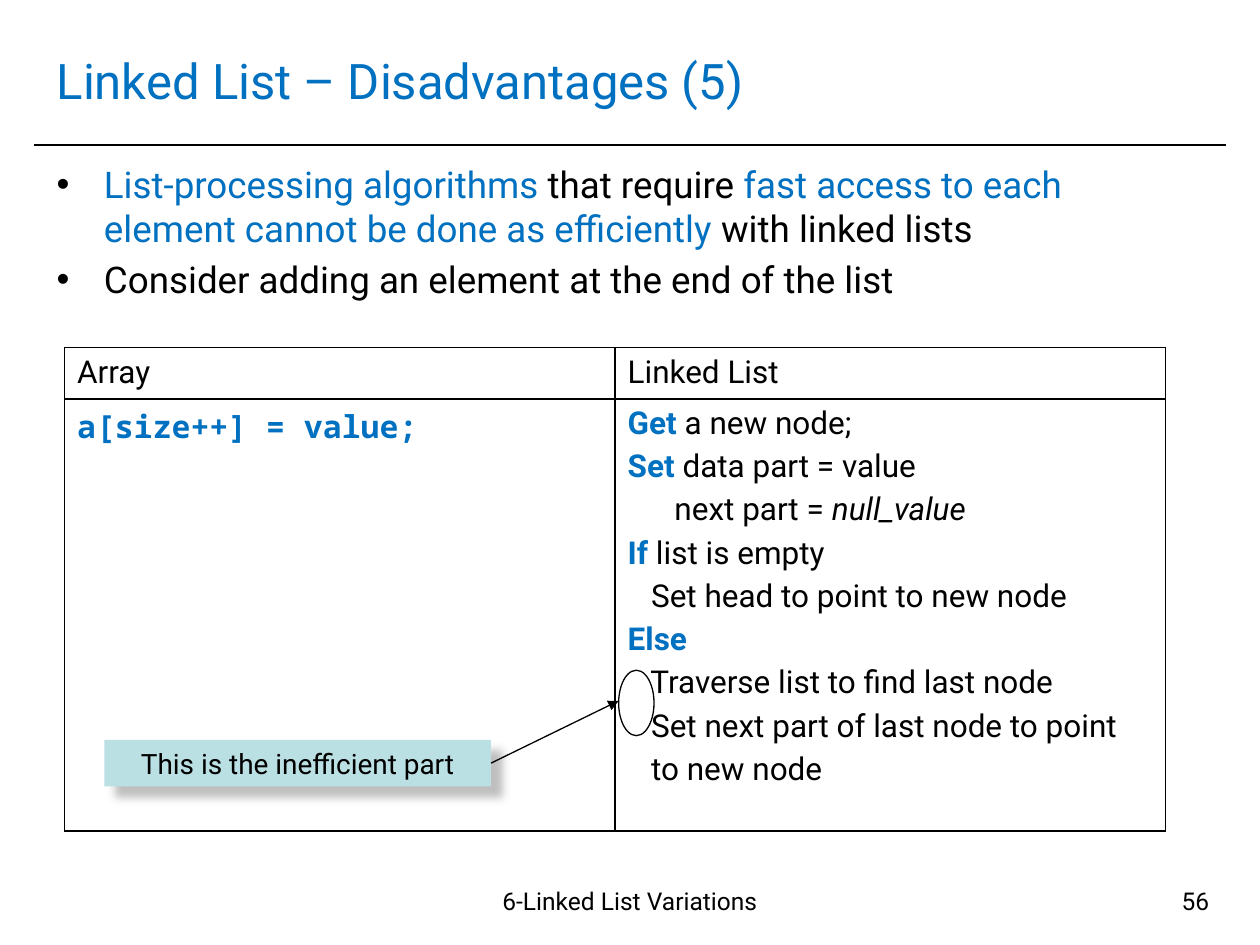
from pptx import Presentation
from pptx.dml.color import RGBColor
from pptx.enum.shapes import MSO_CONNECTOR as LINE, MSO_SHAPE as SHAPE
from pptx.enum.text import MSO_ANCHOR as ANCHOR, MSO_AUTO_SIZE as FIT, PP_ALIGN as ALIGN
from pptx.oxml import parse_xml
from pptx.util import Pt

NS = 'xmlns:a="http://schemas.openxmlformats.org/drawingml/2006/main"'
BLACK, BLUE, WHITE, TEAL = "000000", "0070C0", "FFFFFF", "BBE0E3"


def rgb(code):
    return RGBColor.from_string(code)


def write(frame, *lines, size=18, font="Roboto", color=BLACK, bold=False,
          align=ALIGN.LEFT, gap=0, bullet=False):
    """Each line is a string or a list of strings and (text, format) pairs."""
    frame.word_wrap = True
    for n, line in enumerate(lines):
        para = frame.add_paragraph() if n else frame.paragraphs[0]
        if bullet:
            props = para._p.get_or_add_pPr()
            props.set("marL", str(Pt(27)))
            props.set("indent", str(-Pt(27)))
            props.append(parse_xml(f'<a:buClr {NS}><a:srgbClr val="{BLACK}"/></a:buClr>'))
            props.append(parse_xml(f'<a:buChar {NS} char="•"/>'))
        para.alignment = align
        para.space_before = Pt(gap if n else 0)
        for part in [line] if isinstance(line, str) else line:
            text, look = (part, {}) if isinstance(part, str) else part
            run = para.add_run()
            run.text = text
            run.font.size = Pt(size)
            run.font.name = font
            run.font.bold = look.get("bold", bold)
            run.font.italic = look.get("italic", False)
            run.font.color.rgb = rgb(look.get("color", color))


deck = Presentation()
deck.slide_width, deck.slide_height = Pt(720), Pt(540)
slide = deck.slides.add_slide(deck.slide_layouts[1])
shapes = slide.shapes
title, body = slide.placeholders
blue = {"color": BLUE}
key = {"color": BLUE, "bold": True}

# Title and bullets
title.left, title.top, title.width, title.height = Pt(25.2), Pt(15), Pt(669), Pt(61)
title.text_frame.vertical_anchor = ANCHOR.MIDDLE
title.text_frame.auto_size = FIT.NONE
write(title.text_frame, "Linked List – Disadvantages (5)", size=28, color=BLUE)

body.left, body.top, body.width, body.height = Pt(25.2), Pt(88.6), Pt(669), Pt(96.5)
body.text_frame.auto_size = FIT.NONE
write(body.text_frame,
      [("List-processing algorithms ", blue), "that require ",
       ("fast access to each element cannot be done as efficiently ", blue),
       "with linked lists"],
      "Consider adding an element at the end of the list",
      size=21, gap=4.2, bullet=True)

# Footer and slide number
for left, width, text, align in [(241, 238, "6-Linked List Variations", ALIGN.CENTER),
                                 (530, 168, "56", ALIGN.RIGHT)]:
    box = shapes.add_textbox(Pt(left), Pt(502.6), Pt(width), Pt(37.4))
    write(box.text_frame, text, size=14, align=align)

# Comparison table
table = shapes.add_table(2, 2, Pt(36.9), Pt(198.7), Pt(629.2), Pt(276.2)).table
table.first_row = table.horz_banding = False
table.rows[0].height, table.rows[1].height = Pt(29.2), Pt(247)
for cell in table.iter_cells():
    cell.fill.solid()
    cell.fill.fore_color.rgb = rgb(WHITE)
    for n, side in enumerate("LRTB"):
        cell._tc.get_or_add_tcPr().insert(n, parse_xml(
            f'<a:ln{side} {NS} w="{Pt(1)}"><a:solidFill><a:srgbClr val="{BLACK}"/>'
            f'</a:solidFill></a:ln{side}>'))

write(table.cell(0, 0).text_frame, "Array")
write(table.cell(0, 1).text_frame, "Linked List")
write(table.cell(1, 0).text_frame, "a[size++] = value;",
      font="Noto Sans Mono", color=BLUE, bold=True)
write(table.cell(1, 1).text_frame,
      [("Get", key), " a new node;"],
      [("Set ", key), "data part = value"],
      ["      next part = ", ("null_value", {"italic": True})],
      [("If", key), " list is empty"],
      "   Set head to point to new node",
      [("Else", key)],
      "   Traverse list to find last node",
      "   Set next part of last node to point",
      "   to new node",
      gap=3.6)

# Callout on the slow step
ring = shapes.add_shape(SHAPE.OVAL, Pt(353.5), Pt(383), Pt(20.2), Pt(37.4))
ring.shadow.inherit = False
ring.fill.background()
ring.line.color.rgb = rgb(BLACK)
ring.line.width = Pt(0.75)

note = shapes.add_shape(SHAPE.RECTANGLE, Pt(59.6), Pt(422.8), Pt(221), Pt(26.6))
note.fill.solid()
note.fill.fore_color.rgb = rgb(TEAL)
note.line.fill.background()
note._element.spPr.append(parse_xml(
    f'<a:effectLst {NS}><a:outerShdw blurRad="{Pt(5)}" dist="{Pt(8.5)}" dir="2700000" '
    'algn="ctr" rotWithShape="0"><a:srgbClr val="808080"><a:alpha val="50000"/>'
    '</a:srgbClr></a:outerShdw></a:effectLst>'))
write(note.text_frame, "This is the inefficient part", size=16, align=ALIGN.CENTER)

# Title rule and arrow
rule = shapes.add_connector(LINE.STRAIGHT, Pt(19.5), Pt(82.8), Pt(700.5), Pt(82.8))
arrow = shapes.add_connector(LINE.STRAIGHT, Pt(280.6), Pt(437), Pt(353.5), Pt(400.5))
arrow.begin_connect(note, 3)
for line, width in [(rule, 1), (arrow, 0.75)]:
    line.line.color.rgb = rgb(BLACK)
    line.line.width = Pt(width)
    line._element.spPr.append(parse_xml(f"<a:effectLst {NS}/>"))
arrow.line._get_or_add_ln().append(parse_xml(f'<a:tailEnd {NS} type="triangle"/>'))

deck.save("out.pptx")
